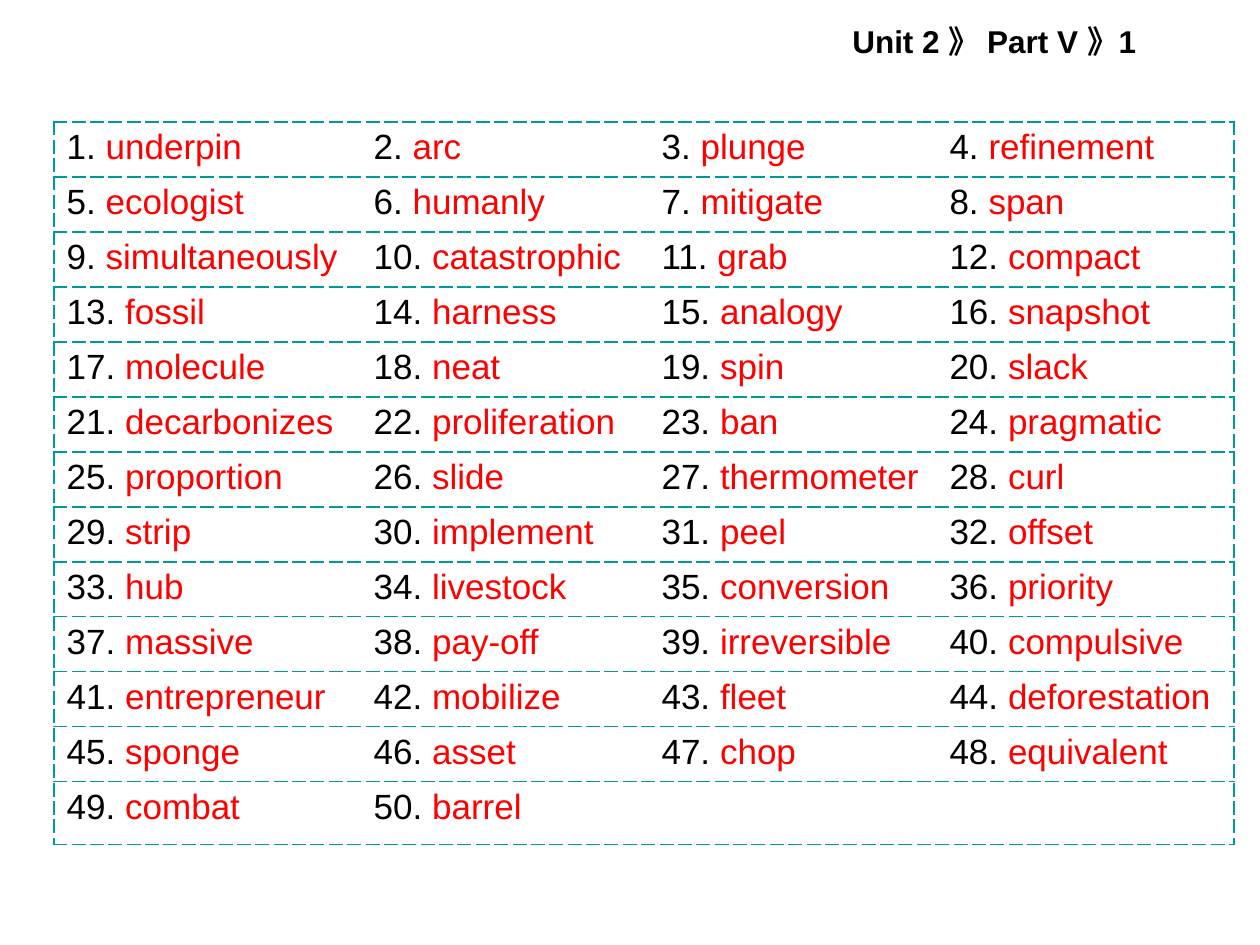
from lxml import etree
from pptx import Presentation, util as u
from pptx.dml.color import RGBColor
from pptx.oxml import ns

# Content
HEAD = "Unit 2 》 Part V 》1"
WORDS = [
    ("underpin", "arc", "plunge", "refinement"),
    ("ecologist", "humanly", "mitigate", "span"),
    ("simultaneously", "catastrophic", "grab", "compact"),
    ("fossil", "harness", "analogy", "snapshot"),
    ("molecule", "neat", "spin", "slack"),
    ("decarbonizes", "proliferation", "ban", "pragmatic"),
    ("proportion", "slide", "thermometer", "curl"),
    ("strip", "implement", "peel", "offset"),
    ("hub", "livestock", "conversion", "priority"),
    ("massive", "pay-off", "irreversible", "compulsive"),
    ("entrepreneur", "mobilize", "fleet", "deforestation"),
    ("sponge", "asset", "chop", "equivalent"),
    ("combat", "barrel"),
]
COLORS = {"text": "000000", "word": "FF0000", "rule": "009999"}
FONT = "Arial"

# Layout in px
COLS = [307, 288, 288, 297]
ROWS = [55] * (len(WORDS) - 1) + [63]
LEFT, TOP = 54, 122
PLAIN = "{2D5ABB26-0587-4C30-8999-92F81FD0307C}"  # no style, no grid


def px(n):
    return u.Emu(round(n * 914400 / 126))


def rgb(name):
    return RGBColor.from_string(COLORS[name])


def rule(cell, side):
    """Draw a dashed border on one side: L, R, T or B."""
    line = etree.SubElement(cell._tc.get_or_add_tcPr(), ns.qn(f"a:ln{side}"),
                            w=str(u.Pt(1.08)))
    fill = etree.SubElement(line, ns.qn("a:solidFill"))
    etree.SubElement(fill, ns.qn("a:srgbClr"), val=COLORS["rule"])
    etree.SubElement(line, ns.qn("a:prstDash"), val="dash")


def entry(cell, num, word):
    para = cell.text_frame.paragraphs[0]
    para.font.name, para.font.size = FONT, u.Pt(20)
    for part, tone in ((f"{num}. ", "text"), (word, "word")):
        run = para.add_run()
        run.text = part
        run.font.color.rgb = rgb(tone)


def main():
    deck = Presentation()
    deck.slide_width, deck.slide_height = px(1260), px(945)
    slide = deck.slides.add_slide(deck.slide_layouts[6])

    # Word table
    frame = slide.shapes.add_table(len(ROWS), len(COLS), px(LEFT), px(TOP),
                                   px(sum(COLS)), px(sum(ROWS)))
    table = frame.table
    table.first_row = table.horz_banding = False
    table._tbl.tblPr.find(ns.qn("a:tableStyleId")).text = PLAIN
    for col, wide in zip(table.columns, COLS):
        col.width = px(wide)
    for row, high in zip(table.rows, ROWS):
        row.height = px(high)

    last = len(COLS) - 1
    for r, words in enumerate(WORDS):
        for c in range(len(COLS)):
            cell = table.cell(r, c)
            sides = ("L" if c == 0 else "") + ("R" if c == last else "") + "TB"
            for side in sides:
                rule(cell, side)
            cell.fill.background()
            if c < len(words):
                entry(cell, r * len(COLS) + c + 1, words[c])

    # Header
    box = slide.shapes.add_textbox(px(840), px(16), px(340), px(50))
    box.text_frame.word_wrap = False
    para = box.text_frame.paragraphs[0]
    para.text = HEAD
    font = para.font
    font.name, font.size, font.bold = FONT, u.Pt(18), True
    font.color.rgb = rgb("text")

    deck.save("out.pptx")


if __name__ == "__main__":
    main()
